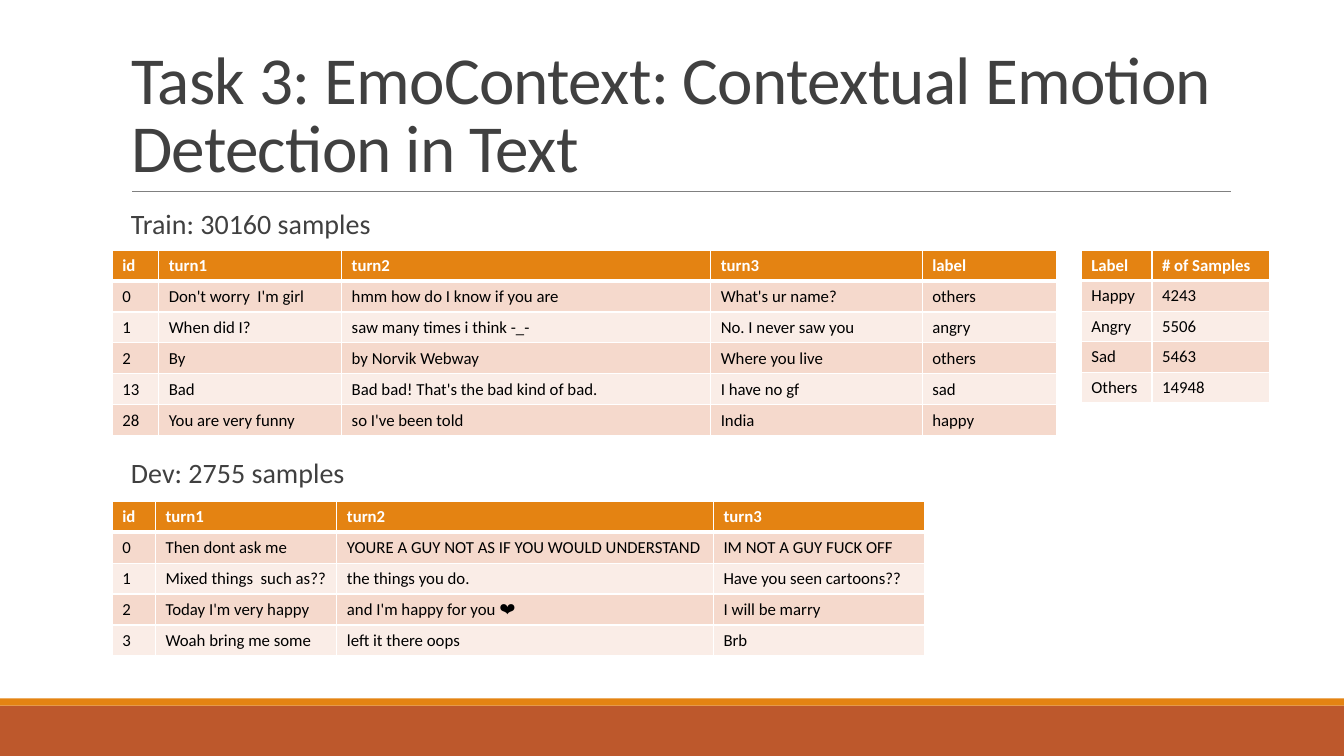
from lxml.etree import SubElement
from pptx import Presentation
from pptx.dml.color import RGBColor
from pptx.enum.shapes import MSO_CONNECTOR, MSO_SHAPE
from pptx.enum.text import MSO_ANCHOR, MSO_AUTO_SIZE, PP_ALIGN
from pptx.oxml.ns import qn
from pptx.util import Cm, Pt

ORANGE, RUST, GREY, WHITE, BLACK = "E48312", "BD582C", "404040", "FFFFFF", "000000"
BANDS = ["FAEDE7", "F5D9CC"]


def color(hex_value):
    return RGBColor.from_string(hex_value)


def add_border(cell, side, points):
    line = SubElement(cell._tc.get_or_add_tcPr(), qn(f"a:ln{side}"), w=str(Pt(points)))
    SubElement(SubElement(line, qn("a:solidFill")), qn("a:srgbClr"), val=WHITE)


presentation = Presentation()
presentation.slide_width = Cm(33.87)
presentation.slide_height = Cm(19.05)
slide = presentation.slides.add_slide(presentation.slide_layouts[5])

for top, height, fill in [(17.78, 1.27, RUST), (17.6, 0.18, ORANGE)]:
    footer_band = slide.shapes.add_shape(
        MSO_SHAPE.RECTANGLE, 0, Cm(top), presentation.slide_width, Cm(height))
    footer_band.shadow.inherit = False
    footer_band.fill.solid()
    footer_band.fill.fore_color.rgb = color(fill)
    footer_band.line.fill.background()

title_rule = slide.shapes.add_connector(
    MSO_CONNECTOR.STRAIGHT, Cm(3.33), Cm(4.83), Cm(31.01), Cm(4.83))
title_rule.line.color.rgb = color("808080")
title_rule.line.width = Pt(0.5)
SubElement(title_rule._element.spPr, qn("a:effectLst"))

title = slide.shapes.title
title.left, title.top, title.width, title.height = Cm(3.05), Cm(0.79), Cm(27.94), Cm(4.04)
title.text_frame.text = "Task 3: EmoContext: Contextual Emotion Detection in Text"
title.text_frame.word_wrap = True
title.text_frame.auto_size = MSO_AUTO_SIZE.NONE
title.text_frame.vertical_anchor = MSO_ANCHOR.BOTTOM
heading = title.text_frame.paragraphs[0]
heading.alignment = PP_ALIGN.LEFT
heading.line_spacing = 0.85
heading.font.name = "Calibri"
heading.font.size = Pt(48)
heading.font.color.rgb = color(GREY)
heading.runs[0].font._element.set("spc", "-50")

for top, sample_count in [(5.18, "Train: 30160 samples"), (11.46, "Dev: 2755 samples")]:
    caption = slide.shapes.add_textbox(Cm(3.05), Cm(top), Cm(27.94), Cm(1.04))
    caption.text_frame.word_wrap = True
    caption.text_frame.text = sample_count
    caption_line = caption.text_frame.paragraphs[0]
    caption_line.line_spacing = 0.9
    caption_line.font.name = "Calibri"
    caption_line.font.size = Pt(20)
    caption_line.font.color.rgb = color(GREY)

train_rows = [
    ["id", "turn1", "turn2", "turn3", "label"],
    ["0", "Don't worry  I'm girl", "hmm how do I know if you are", "What's ur name?", "others"],
    ["1", "When did I?", "saw many times i think -_-", "No. I never saw you", "angry"],
    ["2", "By", "by Norvik Webway", "Where you live", "others"],
    ["13", "Bad", "Bad bad! That's the bad kind of bad.", "I have no gf", "sad"],
    ["28", "You are very funny", "so I've been told", "India", "happy"],
]
dev_rows = [
    ["id", "turn1", "turn2", "turn3"],
    ["0", "Then dont ask me", "YOURE A GUY NOT AS IF YOU WOULD UNDERSTAND", "IM NOT A GUY FUCK OFF"],
    ["1", "Mixed things  such as??", "the things you do.", "Have you seen cartoons??"],
    ["2", "Today I'm very happy", "and I'm happy for you ❤", "I will be marry"],
    ["3", "Woah bring me some", "left it there oops", "Brb"],
]
label_rows = [
    ["Label", "# of Samples"],
    ["Happy", "4243"],
    ["Angry", "5506"],
    ["Sad", "5463"],
    ["Others", "14948"],
]

for left, top, row_height, widths, anchor, rows in [
    (2.83, 6.3, 0.78, [1.17, 4.61, 9.3, 5.33, 3.39], MSO_ANCHOR.BOTTOM, train_rows),
    (2.83, 12.63, 0.78, [1.09, 4.57, 9.49, 5.31], MSO_ANCHOR.BOTTOM, dev_rows),
    (27.25, 6.3, 0.77, [1.78, 2.96], MSO_ANCHOR.TOP, label_rows),
]:
    samples = slide.shapes.add_table(
        len(rows), len(widths), Cm(left), Cm(top),
        Cm(sum(widths)), Cm(row_height * len(rows))).table
    for column, width in zip(samples.columns, widths):
        column.width = Cm(width)
    for row_index, row in enumerate(rows):
        samples.rows[row_index].height = Cm(row_height)
        is_header = row_index == 0
        for column_index, text in enumerate(row):
            cell = samples.cell(row_index, column_index)
            for side in "LRTB":
                thick = (is_header and side == "B") or (row_index == 1 and side == "T")
                add_border(cell, side, 3 if thick else 1)
            cell.fill.solid()
            cell.fill.fore_color.rgb = color(ORANGE if is_header else BANDS[row_index % 2])
            cell.vertical_anchor = anchor
            cell.text = text
            entry = cell.text_frame.paragraphs[0]
            entry.font.name = "Calibri"
            entry.font.size = Pt(12)
            entry.font.bold = is_header
            entry.font.color.rgb = color(WHITE if is_header else BLACK)

presentation.save("out.pptx")
